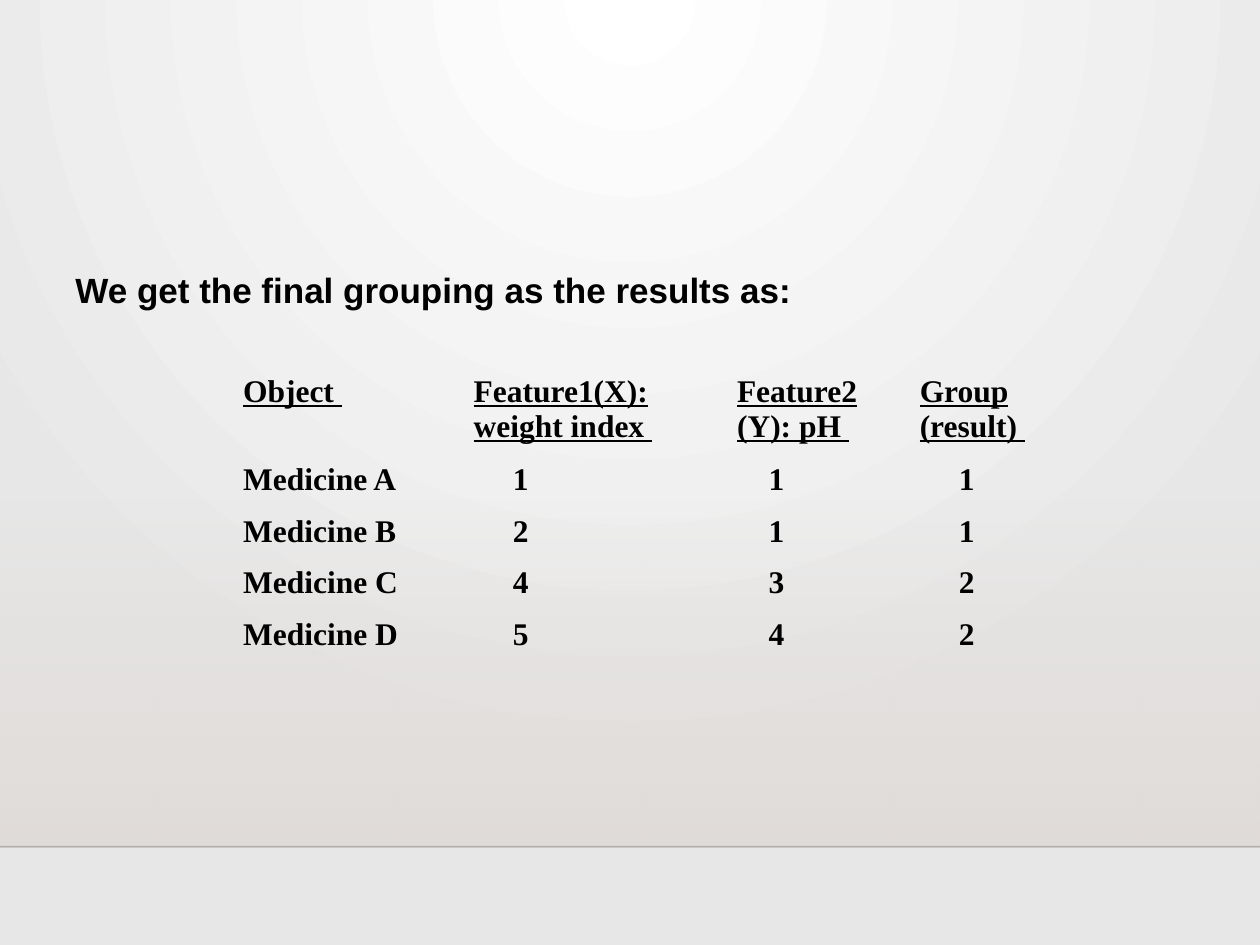
import pptx
import pptx.util
import pptx.dml.color
import pptx.enum.shapes
import pptx.enum.text
import pptx.oxml
import pptx.oxml.ns
from pptx.util import Inches

COLORS = {"text": "000000", "white": "FFFFFF", "gray": "E7E7E7",
          "floor": "DFD9D5", "edge": "000001"}

STATEMENT = "We get the final grouping as the results as:"
HEADINGS = ["Object ", "Feature1(X):\nweight index ", "Feature2\n(Y): pH ", "Group\n(result) "]
RESULTS = [
    ("Medicine A", 1, 1, 1),
    ("Medicine B", 2, 1, 1),
    ("Medicine C", 4, 3, 2),
    ("Medicine D", 5, 4, 2),
]
COLUMN_WIDTHS = [1.83, 2.09, 1.45, 1.63]
VALUE_INDENTS = [0, 0.31, 0.25, 0.31]
HEADING_HEIGHT, ROW_HEIGHT = 0.7, 0.41
HORIZON = 6.72
NO_STYLE_NO_GRID = "{2D5ABB26-0587-4C30-8999-92F81FD0307C}"
NAMESPACE = pptx.oxml.ns.nsdecls("a")


def rgb(name):
    return pptx.dml.color.RGBColor.from_string(COLORS[name])


def set_gradient(properties, stops, direction):
    """Replace the solid fill in properties; stops are (position, colour, opacity) in percent."""
    stop_xml = "".join(
        f'<a:gs pos="{position * 1000}"><a:srgbClr val="{COLORS[color]}">'
        f'<a:alpha val="{opacity * 1000}"/></a:srgbClr></a:gs>'
        for position, color, opacity in stops)
    gradient = pptx.oxml.parse_xml(
        f'<a:gradFill {NAMESPACE} rotWithShape="1"><a:gsLst>{stop_xml}</a:gsLst>'
        f'{direction}</a:gradFill>')
    solid = properties.find(pptx.oxml.ns.qn("a:solidFill"))
    properties.replace(solid, gradient)


def format_text(text_frame, font_name, size, underline=False):
    for paragraph in text_frame.paragraphs:
        for run in paragraph.runs:
            run.font.name = font_name
            run.font.size = pptx.util.Pt(size)
            run.font.bold = True
            run.font.underline = underline
            run.font.color.rgb = rgb("text")


def add_backdrop(slide):
    slide.background.fill.solid()
    set_gradient(slide.element.find(".//" + pptx.oxml.ns.qn("p:bgPr")),
                 [(0, "white", 100), (100, "gray", 100)],
                 '<a:path path="circle"><a:fillToRect l="43000" t="0" r="43000" b="100000"/></a:path>')

    floor = slide.shapes.add_shape(pptx.enum.shapes.MSO_SHAPE.RECTANGLE,
                                   0, Inches(3.96), Inches(10), Inches(HORIZON - 3.96))
    floor.shadow.inherit = False
    floor.line.fill.background()
    floor.fill.solid()
    set_gradient(floor.element.spPr, [(0, "floor", 0), (100, "floor", 80)],
                 '<a:lin ang="5400000" scaled="0"/>')

    edge = slide.shapes.add_connector(pptx.enum.shapes.MSO_CONNECTOR.STRAIGHT,
                                      0, Inches(HORIZON), Inches(10), Inches(HORIZON))
    edge.line.width = pptx.util.Pt(1)
    edge.line.color.rgb = rgb("edge")
    edge_color = edge.element.spPr.find(".//" + pptx.oxml.ns.qn("a:srgbClr"))
    edge_color.append(pptx.oxml.parse_xml(f'<a:alpha {NAMESPACE} val="20000"/>'))
    edge.element.spPr.append(pptx.oxml.parse_xml(f'<a:effectLst {NAMESPACE}/>'))


def add_results_table(slide):
    rows = [HEADINGS] + RESULTS
    frame = slide.shapes.add_table(
        len(rows), len(HEADINGS), Inches(1.83), Inches(2.92), Inches(sum(COLUMN_WIDTHS)),
        Inches(HEADING_HEIGHT + ROW_HEIGHT * len(RESULTS)))
    table = frame.table
    table.first_row = table.horz_banding = False
    frame.element.find(".//" + pptx.oxml.ns.qn("a:tableStyleId")).text = NO_STYLE_NO_GRID
    for column, width in zip(table.columns, COLUMN_WIDTHS):
        column.width = Inches(width)
    for row_index, values in enumerate(rows):
        is_heading = row_index == 0
        table.rows[row_index].height = Inches(HEADING_HEIGHT if is_heading else ROW_HEIGHT)
        for column_index, value in enumerate(values):
            cell = table.cell(row_index, column_index)
            cell.fill.background()
            indent = 0 if is_heading else VALUE_INDENTS[column_index]
            cell.margin_left = Inches(0.1 + indent)
            cell.text_frame.text = str(value)
            for paragraph in cell.text_frame.paragraphs:
                paragraph.alignment = pptx.enum.text.PP_ALIGN.JUSTIFY
            format_text(cell.text_frame, "Times New Roman", 18, underline=is_heading)


def add_statement(slide):
    box = slide.shapes.add_textbox(Inches(0.5), Inches(2.08), Inches(8), Inches(0.43))
    box.text_frame.word_wrap = True
    box.text_frame.auto_size = pptx.enum.text.MSO_AUTO_SIZE.SHAPE_TO_FIT_TEXT
    box.text_frame.text = STATEMENT
    format_text(box.text_frame, "Arial", 20)


def main():
    presentation = pptx.Presentation()
    presentation.slide_width, presentation.slide_height = Inches(10), Inches(7.5)
    slide = presentation.slides.add_slide(presentation.slide_layouts[6])
    add_backdrop(slide)
    add_results_table(slide)
    add_statement(slide)
    presentation.save("out.pptx")


if __name__ == "__main__":
    main()
